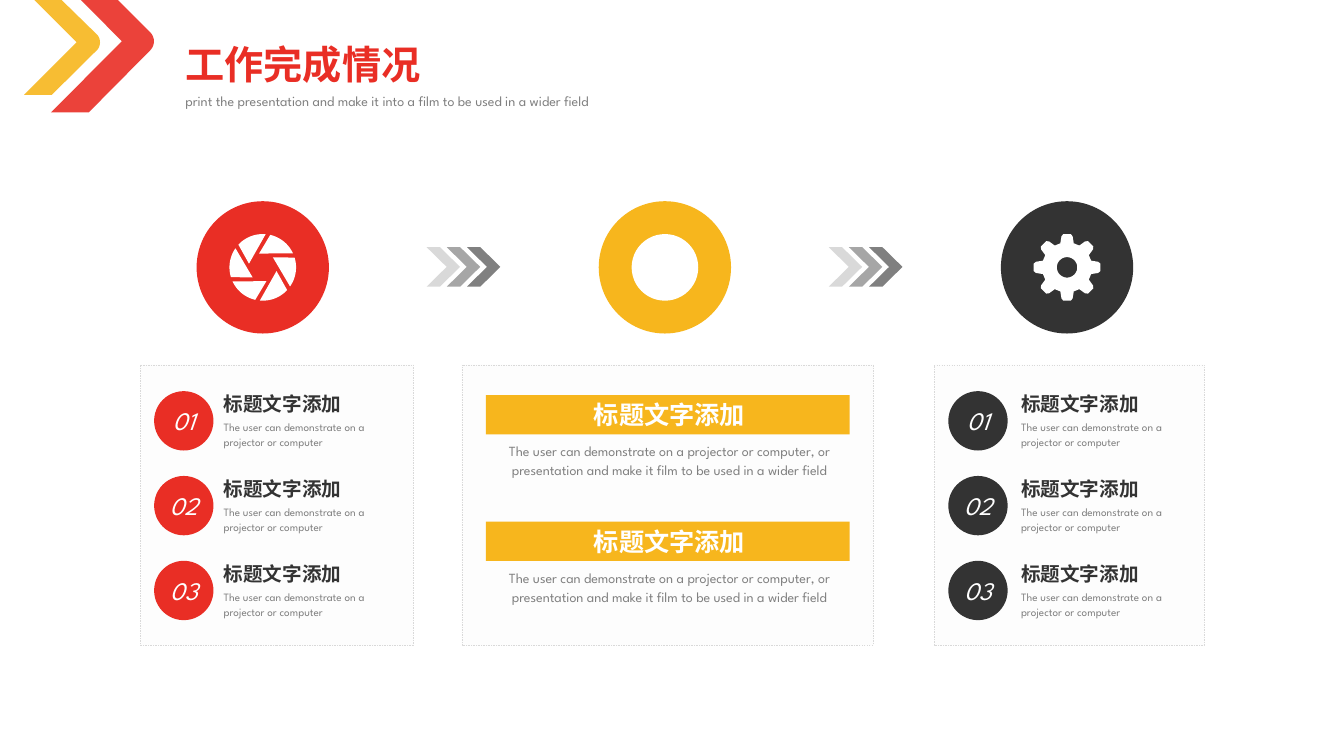
"""Builds the work completion slide: three stages with icons, arrows and detail panels."""
from math import cos, pi, radians, sin

from lxml.etree import SubElement
from pptx import Presentation
from pptx.dml.color import RGBColor
from pptx.enum.dml import MSO_LINE
from pptx.enum.shapes import MSO_SHAPE as Preset
from pptx.enum.text import MSO_ANCHOR as Anchor, MSO_AUTO_SIZE as AutoSize, PP_ALIGN as Align
from pptx.oxml.ns import qn
from pptx.util import Pt

TITLE = "工作完成情况"
SUBTITLE = "print the presentation and make it into a film to be used in a wider field"
HEADING = "标题文字添加"
ITEM_TEXT = "The user can demonstrate on a projector or computer"
BANNER_TEXT = ("The user can demonstrate on a projector or computer, or presentation "
               "and make it film to be used in a wider field")
NUMBERS = ["01", "02", "03"]

FONT = "League Spartan"
COLORS = {"red": "E92E25", "yellow": "F7B61D", "dark": "333333", "grey": "808080",
          "mid": "A6A6A6", "light": "D9D9D9", "panel": "FDFDFD", "white": "FFFFFF"}
STAGES = ["red", "yellow", "dark"]
ARROWS = ["light", "mid", "grey"]
LISTS = [("red", 100.1, 195.1, 152.6), ("dark", 667.4, 193, 722.2)]

STAGE_X, STAGE_Y, STAGE_STEP, STAGE_SIZE = 187.7, 191, 287.25, 94.5
PANEL_TOP, PANEL_HEIGHT = 260.6, 200.2
ITEM_STEP, BANNER_STEP = 60.6, 90.4
ICON_RADIUS = 23.8
TOOTH = [(-4.8, -17.2), (-4, -22.2), (-2.7, -23.8), (2.7, -23.8), (4, -22.2), (4.8, -17.2)]

deck = Presentation()
deck.slide_width, deck.slide_height = Pt(960), Pt(540)
page = deck.slides.add_slide(deck.slide_layouts[5])


def color(name):
    return RGBColor.from_string(COLORS[name])


def paint(shape, fill):
    shape.shadow.inherit = False
    shape.fill.solid()
    shape.fill.fore_color.rgb = color(fill)
    shape.line.fill.background()
    return shape


def add_shape(preset, left, top, width, height, fill):
    return paint(page.shapes.add_shape(preset, Pt(left), Pt(top), Pt(width), Pt(height)), fill)


def add_outline(contours, fill):
    """Draws closed contours given in points as one shape."""
    scaled = [[(x * 100, y * 100) for x, y in contour] for contour in contours]
    builder = page.shapes.build_freeform(*scaled[0][0], scale=127.0)
    for index, contour in enumerate(scaled):
        if index:
            builder.move_to(*contour[0])
        builder.add_line_segments(contour[1:], close=True)
    return paint(builder.convert_to_shape(), fill)


def write(shape, text, size, fill, bold=False, italic=False, align=Align.LEFT, spacing=None):
    frame = shape.text_frame
    frame.word_wrap = True
    frame.auto_size = AutoSize.NONE
    para = frame.paragraphs[0]
    para.alignment = align
    if spacing:
        para.line_spacing = spacing
    span = para.add_run()
    span.text = text
    span.font.name, span.font.size = FONT, Pt(size)
    span.font.bold, span.font.italic = bold, italic
    span.font.color.rgb = color(fill)
    return frame


def add_text(left, top, width, height, *args, **kwargs):
    box = page.shapes.add_textbox(Pt(left), Pt(top), Pt(width), Pt(height))
    write(box, *args, **kwargs)


def add_panel(left, width):
    panel = add_shape(Preset.RECTANGLE, left, PANEL_TOP, width, PANEL_HEIGHT, "panel")
    panel.line.color.rgb = color("light")
    panel.line.width = Pt(0.25)
    panel.line.dash_style = MSO_LINE.DASH


def polar(x, y, radius, degrees):
    return x + radius * cos(radians(degrees)), y - radius * sin(radians(degrees))


def add_aperture(x, y):
    blades = []
    for turn in range(0, 360, 60):
        arc = [polar(x, y, ICON_RADIUS, turn + angle) for angle in range(85, 139, 4)]
        blades.append(arc + [polar(x, y, 10.2, turn + 165)])
    add_outline(blades, "white")


def add_gear(x, y):
    rim = []
    for tooth in range(8):
        turn = tooth * pi / 4
        rim += [(x + dx * cos(turn) - dy * sin(turn), y + dx * sin(turn) + dy * cos(turn))
                for dx, dy in TOOTH]
    hole = [polar(x, y, 7.3, angle) for angle in range(0, 360, 8)]
    add_outline([rim, hole], "white")


def add_disc(x, y):
    add_shape(Preset.OVAL, x - ICON_RADIUS, y - ICON_RADIUS,
              2 * ICON_RADIUS, 2 * ICON_RADIUS, "white")


def add_corner_mark(fill, bottom, foot, top, inner, tip, bend):
    """Draws a translucent corner chevron whose tip is rounded by a Bezier curve."""
    x, start, end = tip
    control, rise = bend
    curve = []
    for step in range(11):
        t = step / 10
        ease = 3 * t * (1 - t)
        curve.append((x + ease * control,
                      start * (1 - t) ** 3 + end * t ** 3
                      + ease * ((1 - t) * (start - rise) + t * (end + rise))))
    points = [(foot[0], bottom), (foot[1], bottom), *curve, (top[1], 0), (top[0], 0), inner]
    mark = add_outline([points], fill)
    rgb = mark.fill._xPr.find(qn("a:solidFill"))[0]
    SubElement(rgb, qn("a:alpha")).set("val", "90000")


add_corner_mark("red", 80.3, (36.4, 63.4), (57.9, 84.2), (87.1, 29.5), (107.3, 36, 23), (3.6, 3.6))
add_corner_mark("yellow", 67.8, (17.2, 37), (24.5, 44), (54.7, 30.2), (69.8, 35.3, 25.2), (2.2, 2.9))

title = page.shapes.title
title.left, title.top, title.width, title.height = Pt(125.3), Pt(25.2), Pt(330.5), Pt(41)
write(title, TITLE, 28, "red", bold=True).vertical_anchor = Anchor.TOP
add_text(125.3, 62.6, 435.6, 19.4, SUBTITLE, 10, "grey")

for index, (fill, add_icon) in enumerate(zip(STAGES, [add_aperture, add_disc, add_gear])):
    x = STAGE_X + index * STAGE_STEP
    add_shape(Preset.OVAL, x - STAGE_SIZE / 2, STAGE_Y - STAGE_SIZE / 2,
              STAGE_SIZE, STAGE_SIZE, fill)
    add_icon(x, STAGE_Y)

for gap in range(2):
    for index, fill in enumerate(ARROWS):
        left = 304.8 + gap * STAGE_STEP + index * 14.4
        arrow = add_shape(Preset.CHEVRON, left, 176.6, 23.8, 28.1, fill)
        arrow.adjustments[0] = 0.6

for fill, left, width, text_left in LISTS:
    add_panel(left, width)
    for index, number in enumerate(NUMBERS):
        shift = index * ITEM_STEP
        badge = add_shape(Preset.OVAL, left + 10, 279.4 + shift, 42.4, 42.4, fill)
        frame = write(badge, number, 18, "white", italic=True, align=Align.CENTER)
        frame.word_wrap = False
        frame.vertical_anchor = Anchor.MIDDLE
        frame.margin_left = frame.margin_right = frame.margin_top = frame.margin_bottom = 0
        add_text(text_left, 276.4 + shift, 111.6, 24.5, HEADING, 14, "dark", bold=True)
        add_text(text_left, 295.3 + shift, 140.4, 29.5, ITEM_TEXT, 8, "grey", spacing=1.14)

add_panel(329.8, 293.8)
for index in range(2):
    shift = index * BANNER_STEP
    banner = add_shape(Preset.RECTANGLE, 347, 282.2 + shift, 259.9, 28.1, "yellow")
    frame = write(banner, HEADING, 18, "white", bold=True, align=Align.CENTER)
    frame.vertical_anchor = Anchor.MIDDLE
    frame.margin_left = Pt(9.5)
    add_text(347.8, 311, 260.6, 49, BANNER_TEXT, 10, "grey", align=Align.CENTER,
             spacing=1.14) if not index else add_text(
        347.8, 311 + shift, 260.6, 49, BANNER_TEXT, 10, "grey", align=Align.CENTER, spacing=1.14)

deck.save("out.pptx")
